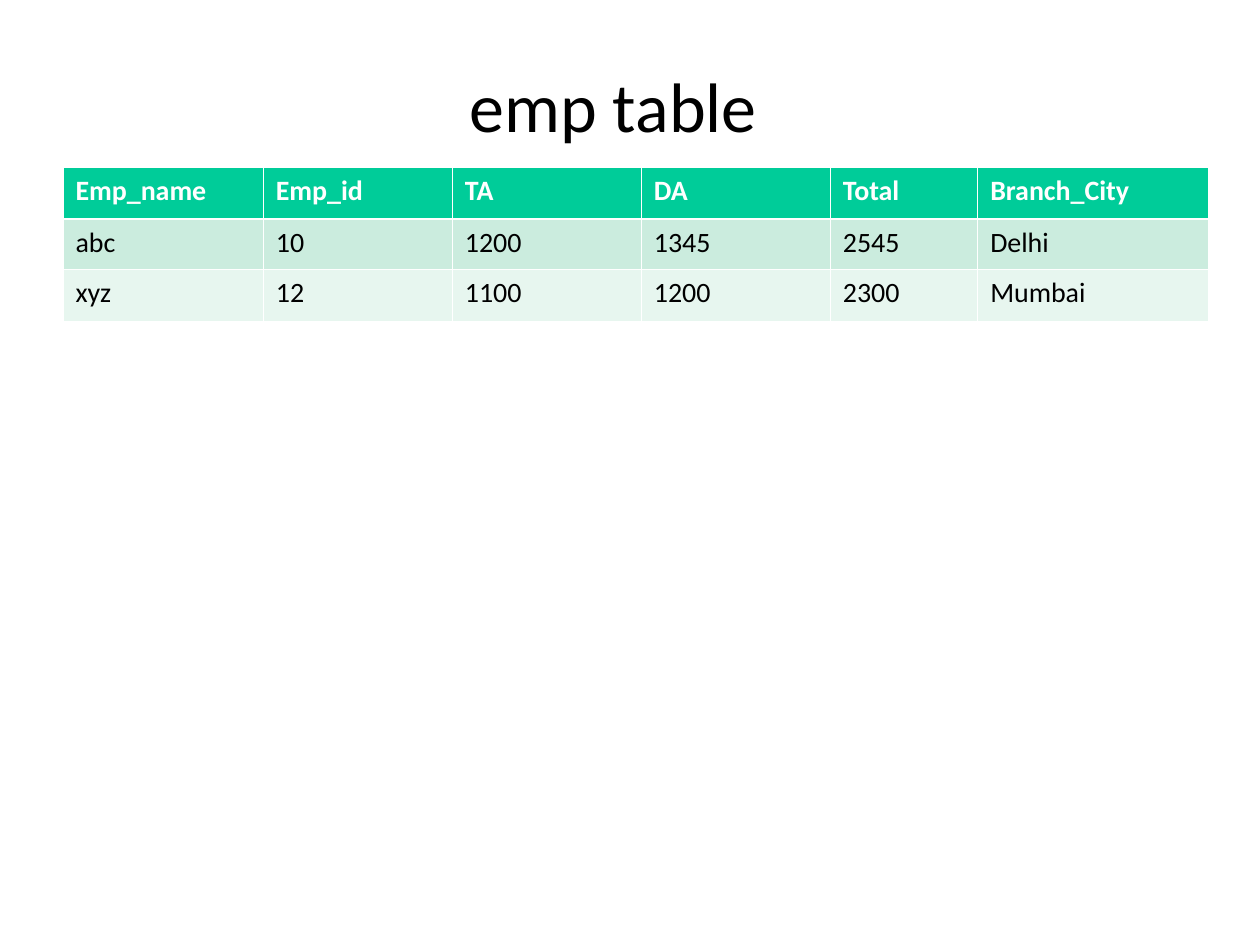
import pptx
import pptx.dml.color
import pptx.enum.text
import pptx.util
from lxml import etree
from pptx.oxml import ns

# Content
TITLE = "emp table "  # the closing space is part of the centred line
HEADINGS = ("Emp_name", "Emp_id", "TA", "DA", "Total", "Branch_City")
EMPLOYEES = (
    ("abc", "10", "1200", "1345", "2545", "Delhi"),
    ("xyz", "12", "1100", "1200", "2300", "Mumbai"),
)

# Theme
THEME = {
    "font": "Calibri",
    "title_size": 40,
    "cell_size": 16,
    "ink": "000000",
    "paper": "FFFFFF",
    "header_fill": "00CC99",
    "band_fills": ("CBECDE", "E7F6EF"),
    "thin_rule": 0.45,
    "header_rule": 1.47,
}

# Layout, in inches
SLIDE_WIDTH, SLIDE_HEIGHT = 10, 7.5
LEFT = SLIDE_WIDTH * 0.05
TITLE_TOP, TITLE_WIDTH, TITLE_HEIGHT = 0.3, 8.86, 1.12
TABLE_TOP = 1.33
COLUMN_WIDTHS = (1.59, 1.5, 1.5, 1.5, 1.17, 1.83)
ROW_HEIGHTS = (0.41, 0.4, 0.41)


def inches(*lengths):
    return [pptx.util.Inches(length) for length in lengths]


def rgb(colour):
    return pptx.dml.color.RGBColor.from_string(colour)


def add_text(paragraph, text, size, colour, bold=False):
    run = paragraph.add_run()
    run.text = text
    run.font.name = THEME["font"]
    run.font.size = pptx.util.Pt(size)
    run.font.bold = bold
    run.font.color.rgb = rgb(colour)


def add_border(cell, side, width):
    properties = cell._tc.get_or_add_tcPr()
    line = etree.SubElement(properties, ns.qn(f"a:ln{side}"), w=str(pptx.util.Pt(width)))
    fill = etree.SubElement(line, ns.qn("a:solidFill"))
    etree.SubElement(fill, ns.qn("a:srgbClr"), val=THEME["paper"])


def format_title(title):
    title.left, title.top, title.width, title.height = inches(
        LEFT, TITLE_TOP, TITLE_WIDTH, TITLE_HEIGHT)
    frame = title.text_frame
    frame.word_wrap = True
    frame.vertical_anchor = pptx.enum.text.MSO_ANCHOR.MIDDLE
    paragraph = frame.paragraphs[0]
    paragraph.alignment = pptx.enum.text.PP_ALIGN.CENTER
    paragraph.line_spacing = 0.97
    add_text(paragraph, TITLE, THEME["title_size"], THEME["ink"])


def fill_cell(cell, text, row):
    header = row == 0
    # The rule between header and body is the heavy one
    heavy_side = {0: "B", 1: "T"}.get(row)
    for side in "LRTB":
        add_border(cell, side, THEME["header_rule" if side == heavy_side else "thin_rule"])
    cell.fill.solid()
    bands = THEME["band_fills"]
    cell.fill.fore_color.rgb = rgb(
        THEME["header_fill"] if header else bands[(row - 1) % len(bands)])
    add_text(cell.text_frame.paragraphs[0], text, THEME["cell_size"],
             THEME["paper" if header else "ink"], bold=header)


def add_employee_table(slide):
    rows = (HEADINGS, *EMPLOYEES)
    table = slide.shapes.add_table(
        len(rows), len(HEADINGS),
        *inches(LEFT, TABLE_TOP, sum(COLUMN_WIDTHS), sum(ROW_HEIGHTS))).table
    for column, width in zip(table.columns, COLUMN_WIDTHS):
        column.width = pptx.util.Inches(width)
    for row, height in zip(table.rows, ROW_HEIGHTS):
        row.height = pptx.util.Inches(height)
    for row_index, texts in enumerate(rows):
        for column_index, text in enumerate(texts):
            fill_cell(table.cell(row_index, column_index), text, row_index)


def main():
    presentation = pptx.Presentation()
    presentation.slide_width, presentation.slide_height = inches(SLIDE_WIDTH, SLIDE_HEIGHT)
    slide = presentation.slides.add_slide(presentation.slide_layouts.get_by_name("Title Only"))
    format_title(slide.shapes.title)
    add_employee_table(slide)
    presentation.save("out.pptx")


if __name__ == "__main__":
    main()
